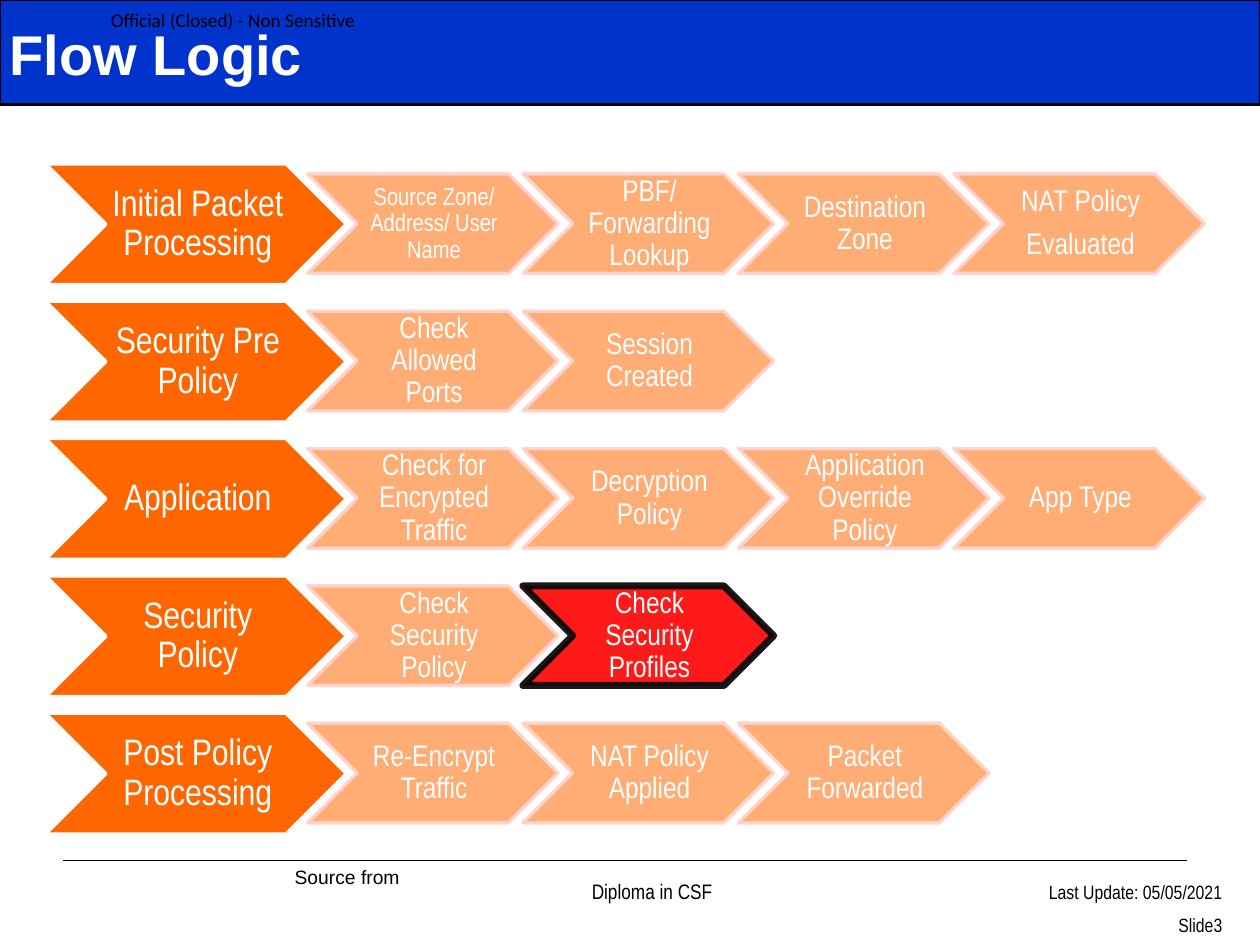
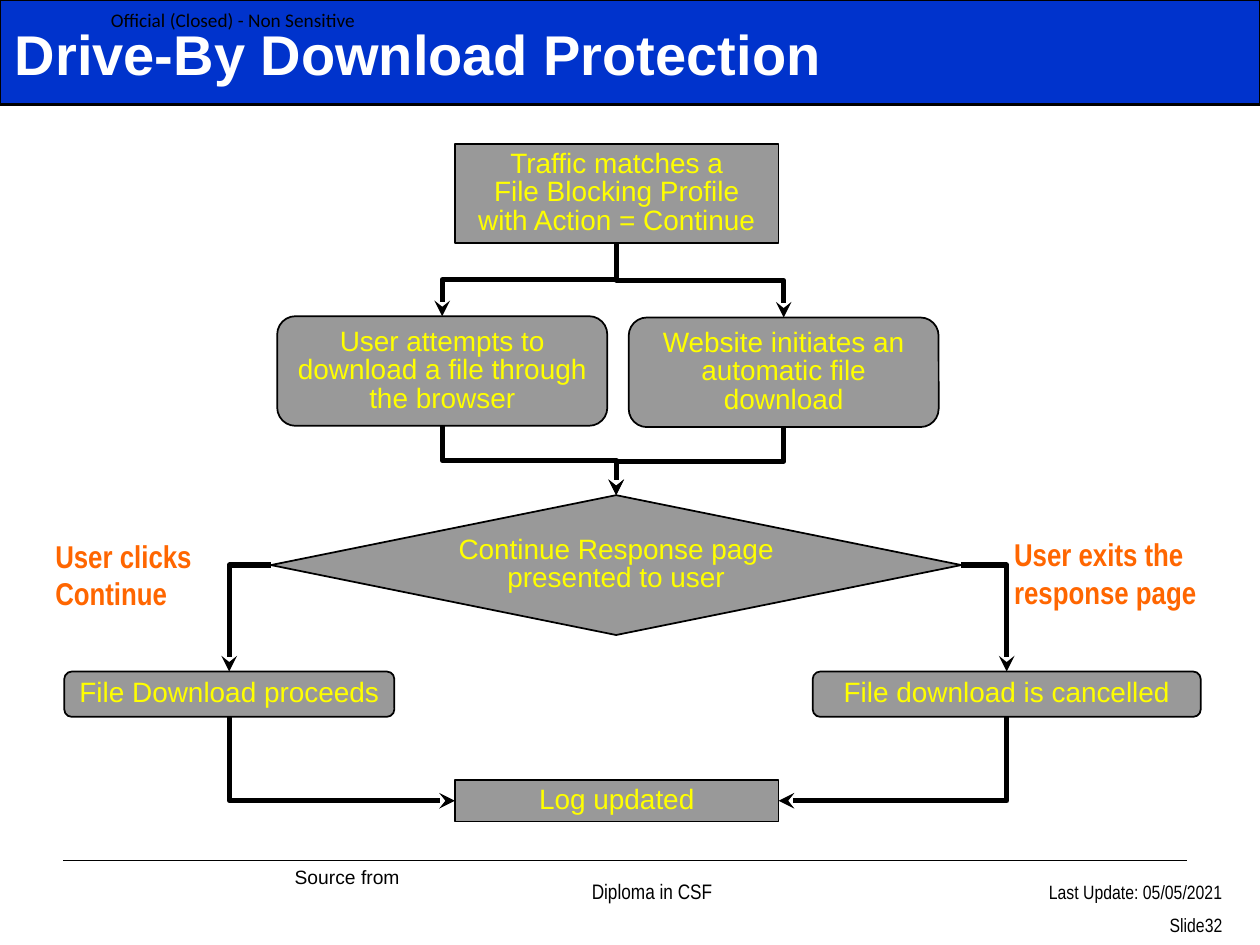
from lxml.etree import SubElement as Sub
from pptx import Presentation
from pptx.dml.color import RGBColor
from pptx.enum.shapes import MSO_CONNECTOR as LINK, MSO_SHAPE as SHAPE
from pptx.enum.text import MSO_ANCHOR as ANCHOR, PP_ALIGN as ALIGN
from pptx.oxml.ns import qn
from pptx.util import Inches, Pt

WHITE = RGBColor(0xFF, 0xFF, 0xFF)
BLACK = RGBColor(0, 0, 0)
BLUE = RGBColor(0x00, 0x33, 0xCC)
ORANGE = RGBColor(0xFF, 0x66, 0x00)
PEACH = RGBColor(0xFF, 0xA3, 0x66)
PINK = RGBColor(0xFF, 0xD3, 0xCC)
RED = RGBColor(0xFF, 0, 0)
GREY = RGBColor(0x99, 0x99, 0x99)
YELLOW = RGBColor(0xFF, 0xFF, 0)
NARROW = "Arial Narrow"


def draw(slide, kind, place, fill, edge, width, alpha=100):
    shape = slide.shapes.add_shape(kind, *map(Inches, place))
    shape.shadow.inherit = False
    shape.fill.solid()
    shape.fill.fore_color.rgb = fill
    shape.line.color.rgb = edge
    shape.line.width = Pt(width)
    if alpha < 100:
        for color in shape._element.spPr.iter(qn("a:srgbClr")):
            Sub(color, qn("a:alpha"), val=str(alpha * 1000))
    return shape


def write(shape, text, size, font, color, bold=False, align=ALIGN.LEFT,
          anchor=ANCHOR.TOP, pad=None, lead=None, before=0, after=0):
    frame = shape.text_frame
    frame.word_wrap = True
    frame.vertical_anchor = anchor
    if pad is not None:
        frame.margin_left, frame.margin_right = Inches(pad), 0
        frame.margin_top = frame.margin_bottom = Inches(pad / 2)
    frame.text = text
    for para in frame.paragraphs:
        para.alignment = align
        para.line_spacing = lead
        para.space_before, para.space_after = Pt(before), Pt(after)
        for run in para.runs:
            run.font.size, run.font.name = Pt(size), font
            run.font.bold, run.font.color.rgb = bold, color


deck = Presentation()
deck.slide_width, deck.slide_height = Inches(10), Inches(7.5)

# Shared band, title and footer
slides = []
for title, left, number in [("Flow Logic", -0.02, 3),
                            ("Drive-By Download Protection", 0.02, 32)]:
    slide = deck.slides.add_slide(deck.slide_layouts[6])
    slides.append(slide)
    rule = slide.shapes.add_connector(
        LINK.STRAIGHT, *map(Inches, (0.5, 6.83, 9.42, 6.83)))
    rule.line.color.rgb = BLACK
    rule.line.width = Pt(1)
    Sub(rule._element.spPr, qn("a:effectLst"))
    draw(slide, SHAPE.RECTANGLE, (0, 0, 10, 0.83), BLUE, BLACK, 1.5)
    for place, text, size, font, look in [
        ((3.94, 6.92, 2.47, 0.3), "Diploma in CSF", 12, NARROW,
         dict(align=ALIGN.CENTER, anchor=ANCHOR.MIDDLE)),
        ((7.28, 6.96, 2.52, 0.52),
         f"Last Update: 05/05/2021\nSlide{number}", 11, NARROW,
         dict(align=ALIGN.RIGHT, anchor=ANCHOR.BOTTOM, before=5.5)),
        ((2.24, 6.82, 1.43, 0.29), "Source from", 11, "Arial", {}),
        ((0.88, 0, 2.13, 0.31), "Official (Closed) - Non Sensitive", 11,
         "Calibri", dict(anchor=ANCHOR.MIDDLE, pad=0)),
    ]:
        box = slide.shapes.add_textbox(*map(Inches, place))
        write(box, text, size, font, BLACK, **look)
    head = slide.shapes.add_textbox(*map(Inches, (left, 0, 9.1, 0.84)))
    write(head, title, 32, "Arial", WHITE, bold=True, anchor=ANCHOR.MIDDLE)

flow, guard = slides

# Flow Logic: one row of chevrons per stage
stages = [
    ("Initial Packet Processing", "Source Zone/ Address/ User Name",
     "PBF/ Forwarding Lookup", "Destination Zone", "NAT Policy\nEvaluated"),
    ("Security Pre Policy", "Check Allowed Ports", "Session Created"),
    ("Application", "Check for Encrypted Traffic", "Decryption Policy",
     "Application Override Policy", "App Type"),
    ("Security Policy", "Check Security Policy", "Check Security Profiles"),
    ("Post Policy Processing", "Re-Encrypt Traffic", "NAT Policy Applied",
     "Packet Forwarded"),
]
centre = dict(align=ALIGN.CENTER, anchor=ANCHOR.MIDDLE)
for row, (stage, *steps) in enumerate(stages):
    top = 1.3 + row * 1.09
    lead = draw(flow, SHAPE.CHEVRON, (0.36, top, 2.39, 0.96),
                ORANGE, WHITE, 2)
    write(lead, stage, 21, NARROW, WHITE, pad=0.03, lead=0.9, **centre)
    for col, step in enumerate(steps):
        if step == "Check Security Profiles":
            look = RED, BLACK, 4
        else:
            look = PEACH, PINK, 2
        place = 2.44 + col * 1.71, top + 0.08, 1.99, 0.79
        arrow = draw(flow, SHAPE.CHEVRON, place, *look, alpha=90)
        size = 14 if step.startswith("Source") else 17
        write(arrow, step, size, NARROW, WHITE, pad=0.02, lead=0.9,
              after=6, **centre)

# Drive-By Download Protection: boxes
STEP = SHAPE.FLOWCHART_PROCESS
ROUND = SHAPE.FLOWCHART_ALTERNATE_PROCESS
boxes = {}
for name, kind, place, text in [
    ("match", STEP, (3.61, 1.14, 2.57, 0.79),
     "Traffic matches a\vFile Blocking Profile with Action = Continue"),
    ("user", ROUND, (2.2, 2.51, 2.62, 0.87),
     "User attempts to download a file through the browser"),
    ("site", ROUND, (4.99, 2.52, 2.46, 0.87),
     "Website initiates an automatic file download"),
    ("page", SHAPE.FLOWCHART_DECISION, (2.15, 3.93, 5.48, 1.11),
     "Continue Response page presented to user"),
    ("log", STEP, (3.61, 6.19, 2.57, 0.33), "Log updated"),
    ("done", ROUND, (0.51, 5.33, 2.62, 0.36), "File Download proceeds"),
    ("stop", ROUND, (6.45, 5.33, 3.08, 0.36), "File download is cancelled"),
]:
    boxes[name] = draw(guard, kind, place, GREY, BLACK, 1)
    write(boxes[name], text, 16, "Arial", YELLOW, lead=0.85, **centre)

# Elbow arrows between connection sites
TOP, LEFT, BOTTOM, RIGHT = range(4)
for start, out, end, into in [
    ("page", LEFT, "done", TOP), ("page", RIGHT, "stop", TOP),
    ("user", BOTTOM, "page", TOP), ("site", BOTTOM, "page", TOP),
    ("done", BOTTOM, "log", LEFT), ("stop", BOTTOM, "log", RIGHT),
    ("match", BOTTOM, "user", TOP), ("match", BOTTOM, "site", TOP),
]:
    link = guard.shapes.add_connector(LINK.ELBOW, 0, 0, 0, 0)
    link.begin_connect(boxes[start], out)
    link.end_connect(boxes[end], into)
    props = link._element.spPr
    if (out + into) % 2:
        props.find(qn("a:prstGeom")).set("prst", "bentConnector2")
    if out == BOTTOM:
        # Leaving downwards: a quarter turn about the same centre
        wide, high = link.width, link.height
        right = link.end_x > link.begin_x
        link.left += (wide - high) // 2
        link.top += (high - wide) // 2
        link.width, link.height = high, wide
        turn = props.find(qn("a:xfrm"))
        turn.set("rot", "16200000" if right else "5400000")
        turn.set("flipH", "1" if right else "0")
        turn.set("flipV", "0")
    link.line.color.rgb = BLACK
    link.line.width = Pt(3)
    Sub(link.line._get_or_add_ln(), qn("a:tailEnd"), type="stealth")
    Sub(props, qn("a:effectLst"))

# Branch labels
for left, top, text in [(0.34, 4.21, "User clicks Continue"),
                        (7.95, 4.2, "User exits the response page")]:
    note = guard.shapes.add_textbox(*map(Inches, (left, top, 1.68, 0.71)))
    write(note, text, 18, NARROW, ORANGE, bold=True)

deck.save("out.pptx")
